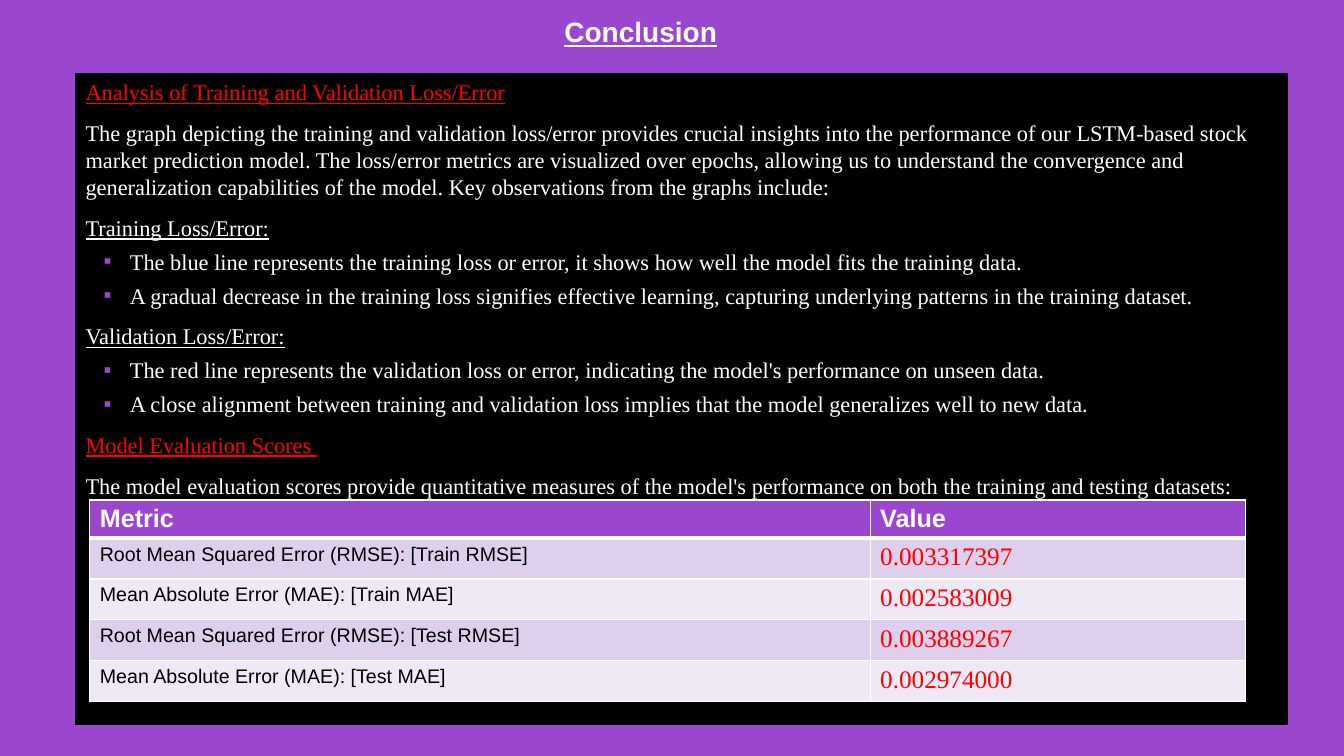
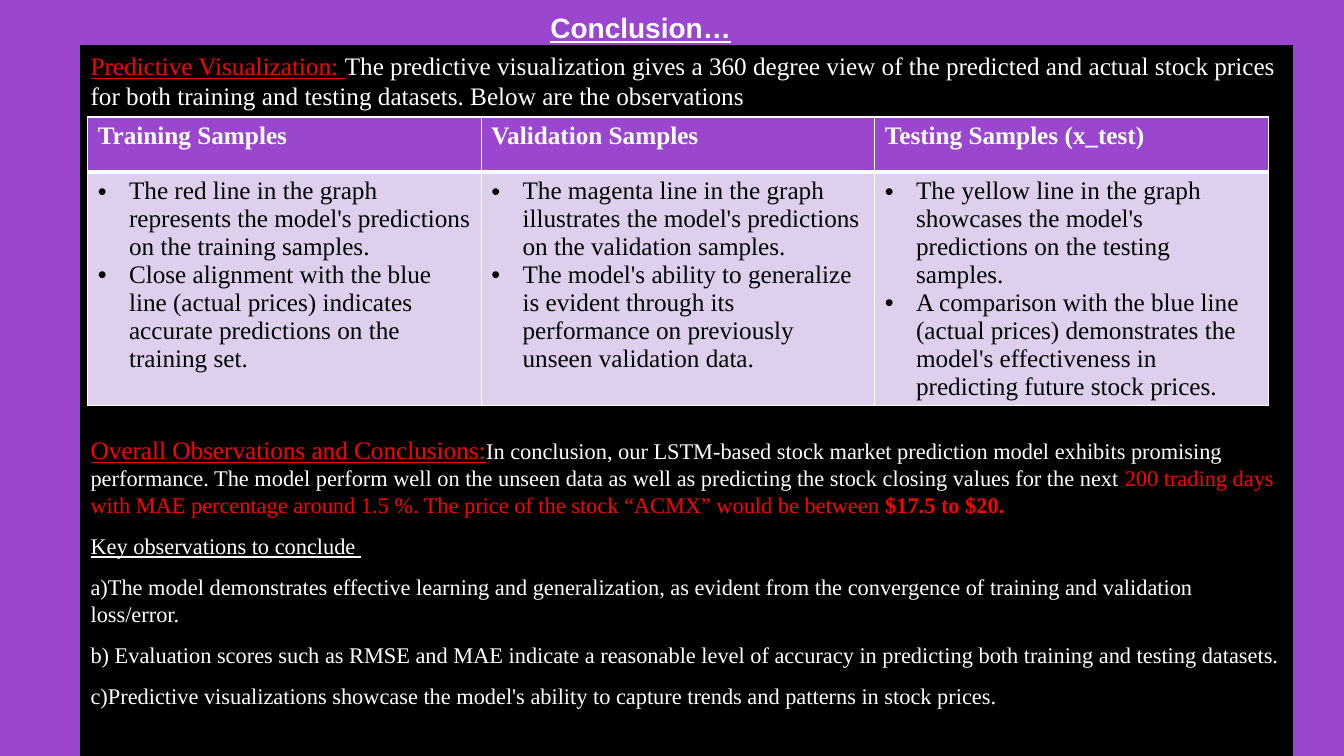
from lxml import etree
from pptx import Presentation
from pptx.dml.color import RGBColor
from pptx.enum import shapes, text
from pptx.oxml import ns
from pptx.util import Inches, Pt

PURPLE = RGBColor(0x9A, 0x46, 0xCF)
LILAC = RGBColor(0xDE, 0xCF, 0xED)
PALE = RGBColor(0xEF, 0xE9, 0xF6)
BLACK = RGBColor(0, 0, 0)
WHITE = RGBColor(255, 255, 255)
RED = RGBColor(255, 0, 0)
SANS, SERIF = "Arial", "Times New Roman"


def sub(parent, tag, **attrs):
    return etree.SubElement(parent, ns.qn(tag), attrs)


def paint(thing, color):
    thing.fill.solid()
    thing.fill.fore_color.rgb = color


def style(font, size=16, color=WHITE, name=SERIF, bold=False, line=False):
    font.size, font.name = Pt(size), name
    font.bold, font.underline = bold, line
    font.color.rgb = color


def bullet(para, char, left, hang, color=None):
    props = para._p.get_or_add_pPr()
    props.set("marL", str(Inches(left)))
    props.set("indent", str(-Inches(hang)))
    if color is not None:
        sub(sub(props, "a:buClr"), "a:srgbClr", val=str(color))
    sub(props, "a:buFont", typeface=SANS)
    sub(props, "a:buChar", char=char)


def paras(frame, items):
    """Yield each item with its paragraph, using the frame's first one too."""
    for i, item in enumerate(items):
        yield (frame.add_paragraph() if i else frame.paragraphs[0]), item


class Deck:
    def __init__(self):
        self.prs = Presentation()
        self.prs.slide_width, self.prs.slide_height = Inches(13.33), Inches(7.5)
        paint(self.prs.slide_master.background, PURPLE)

    def page(self, title, height):
        self.slide = self.prs.slides.add_slide(self.prs.slide_layouts[5])
        box = self.slide.shapes.title
        box.left, box.top = Inches(0.8), Inches(0.1)
        box.width, box.height = Inches(11.11), Inches(height)
        paint(box, PURPLE)
        frame = box.text_frame
        frame.auto_size = text.MSO_AUTO_SIZE.NONE
        frame.vertical_anchor = text.MSO_ANCHOR.MIDDLE
        frame.text = title
        para = frame.paragraphs[0]
        para.alignment = text.PP_ALIGN.CENTER
        style(para.font, 20, name=SANS, bold=True, line=True)

    def panel(self, left, top, height):
        box = self.slide.shapes.add_shape(
            shapes.MSO_SHAPE.RECTANGLE, Inches(left), Inches(top), Inches(12.02), Inches(height))
        box.shadow.inherit = False
        paint(box, BLACK)
        box.line.color.rgb = BLACK
        box.line.width = Pt(1)
        box.text_frame.vertical_anchor = text.MSO_ANCHOR.TOP
        return box.text_frame

    def body(self, frame, items):
        """Fill the panel; an item is (kind, content, space before in points)."""
        looks = {"head": dict(color=RED, line=True), "sub": dict(line=True)}
        for para, (kind, content, gap) in paras(frame, items):
            para.alignment = text.PP_ALIGN.LEFT
            para.space_before = Pt(gap)
            if kind == "point":
                para.level = 1
                bullet(para, "▪", 0.44, 0.26, PURPLE)
            if kind == "mixed":
                for words, look in content:
                    run = para.add_run()
                    run.text = words
                    style(run.font, **look)
            else:
                para.text = content
                style(para.font, **looks.get(kind, {}))

    def grid(self, left, top, cols, rows):
        table = self.slide.shapes.add_table(
            len(rows), len(cols), Inches(left), Inches(top),
            Inches(sum(cols)), Inches(sum(rows))).table
        for col, width in zip(table.columns, cols):
            col.width = Inches(width)
        for row, height in zip(table.rows, rows):
            row.height = Inches(height)
        for r in range(len(rows)):
            for c in range(len(cols)):
                self.frame(table.cell(r, c), r)
        return table

    def frame(self, cell, row):
        """White borders, thick under the header, and the row's fill."""
        props = cell._tc.get_or_add_tcPr()
        for side in "LRTB":
            thick = (row, side) in ((0, "B"), (1, "T"))
            line = sub(props, "a:ln" + side, w=str(Pt(3 if thick else 1)))
            sub(sub(line, "a:solidFill"), "a:srgbClr", val=str(WHITE))
        paint(cell, PURPLE if row == 0 else LILAC if row % 2 else PALE)

    def cell(self, cell, items, dots=False, **look):
        for para, words in paras(cell.text_frame, items):
            para.text = words
            if dots:
                bullet(para, "•", 0.31, 0.31)
            style(para.font, **look)


def scores(deck):
    deck.page("Conclusion", 0.43)
    deck.body(deck.panel(0.75, 0.73, 6.46), [
        ("head", "Analysis of Training and Validation Loss/Error", 10),
        ("text", "The graph depicting the training and validation loss/error provides crucial "
         "insights into the performance of our LSTM-based stock market prediction model. The "
         "loss/error metrics are visualized over epochs, allowing us to understand the "
         "convergence and generalization capabilities of the model. Key observations from "
         "the graphs include:", 10),
        ("sub", "Training Loss/Error:", 10),
        ("point", "The blue line represents the training loss or error, it shows how well "
         "the model fits the training data.", 5),
        ("point", "A gradual decrease in the training loss signifies effective learning, "
         "capturing underlying patterns in the training dataset.", 5),
        ("sub", "Validation Loss/Error:", 10),
        ("point", "The red line represents the validation loss or error, indicating the "
         "model's performance on unseen data.", 5),
        ("point", "A close alignment between training and validation loss implies that the "
         "model generalizes well to new data.", 5),
        ("head", "Model Evaluation Scores ", 10),
        ("text", "The model evaluation scores provide quantitative measures of the model's "
         "performance on both the training and testing datasets:", 10),
    ])
    data = [
        ("Root Mean Squared Error (RMSE): [Train RMSE]", "0.003317397"),
        ("Mean Absolute Error (MAE): [Train MAE]", "0.002583009"),
        ("Root Mean Squared Error (RMSE): [Test RMSE]", "0.003889267"),
        ("Mean Absolute Error (MAE): [Test MAE]", "0.002974000"),
    ]
    table = deck.grid(0.89, 4.96, [7.74, 3.72], [0.38] + [1.62 / 4] * 4)
    for c, head in enumerate(("Metric", "Value")):
        deck.cell(table.cell(0, c), [head], size=18, name=SANS, bold=True)
    for r, (metric, value) in enumerate(data, 1):
        deck.cell(table.cell(r, 0), [metric], size=14, name=SANS, color=BLACK)
        deck.cell(table.cell(r, 1), [value], size=18, color=RED)


def closing(deck):
    deck.page("Conclusion…", 0.35)
    lead = dict(size=18, color=RED, line=True)
    deck.body(deck.panel(0.8, 0.45, 7.05), [
        ("mixed", [
            ("Predictive Visualization: ", lead),
            ("The predictive visualization gives a 360 degree view of the predicted and actual "
             "stock prices for both training and testing datasets. Below are the observations",
             dict(size=18))], 10),
        ("mixed", [
            ("Overall Observations and Conclusions:", lead),
            ("In conclusion, our LSTM-based stock market prediction model exhibits promising "
             "performance. The model perform well on the unseen data as well as predicting the "
             "stock closing values for the next ", {}),
            ("200 trading days with MAE percentage around 1.5 %. The price of the stock “ACMX” "
             "would be between ", dict(color=RED)),
            ("$17.5 to $20.", dict(color=RED, bold=True))], 231),
        ("sub", "Key observations to conclude ", 10),
        ("text", "a)The model demonstrates effective learning and generalization, as evident "
         "from the convergence of training and validation loss/error.", 10),
        ("text", "b) Evaluation scores such as RMSE and MAE indicate a reasonable level of "
         "accuracy in predicting both training and testing datasets.", 10),
        ("text", "c)Predictive visualizations showcase the model's ability to capture trends "
         "and patterns in stock prices.", 10),
    ])
    samples = [
        ("Training Samples", [
            "The red line in the graph represents the model's predictions on the training "
            "samples.",
            "Close alignment with the blue line (actual prices) indicates accurate predictions "
            "on the training set."]),
        ("Validation Samples", [
            "The magenta line in the graph illustrates the model's predictions on the "
            "validation samples.",
            "The model's ability to generalize is evident through its performance on "
            "previously unseen validation data."]),
        ("Testing Samples (x_test)", [
            "The yellow line in the graph showcases the model's predictions on the testing "
            "samples.",
            "A comparison with the blue line (actual prices) demonstrates the model's "
            "effectiveness in predicting future stock prices."]),
    ]
    table = deck.grid(0.87, 1.16, [11.71 / 3] * 3, [0.55, 2.3])
    for c, (head, points) in enumerate(samples):
        deck.cell(table.cell(0, c), [head], size=18, bold=True)
        deck.cell(table.cell(1, c), points, dots=True, size=18, color=BLACK)


def main():
    deck = Deck()
    scores(deck)
    closing(deck)
    deck.prs.save("out.pptx")


if __name__ == "__main__":
    main()
